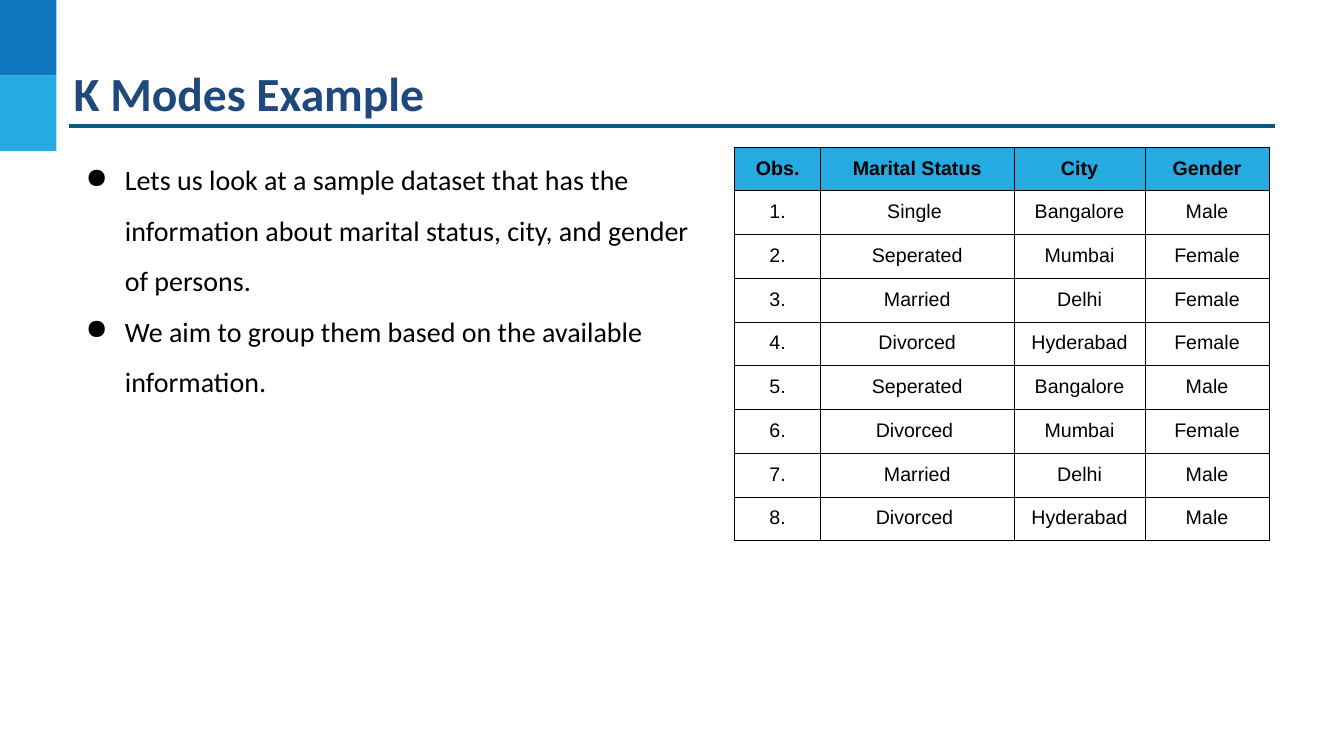
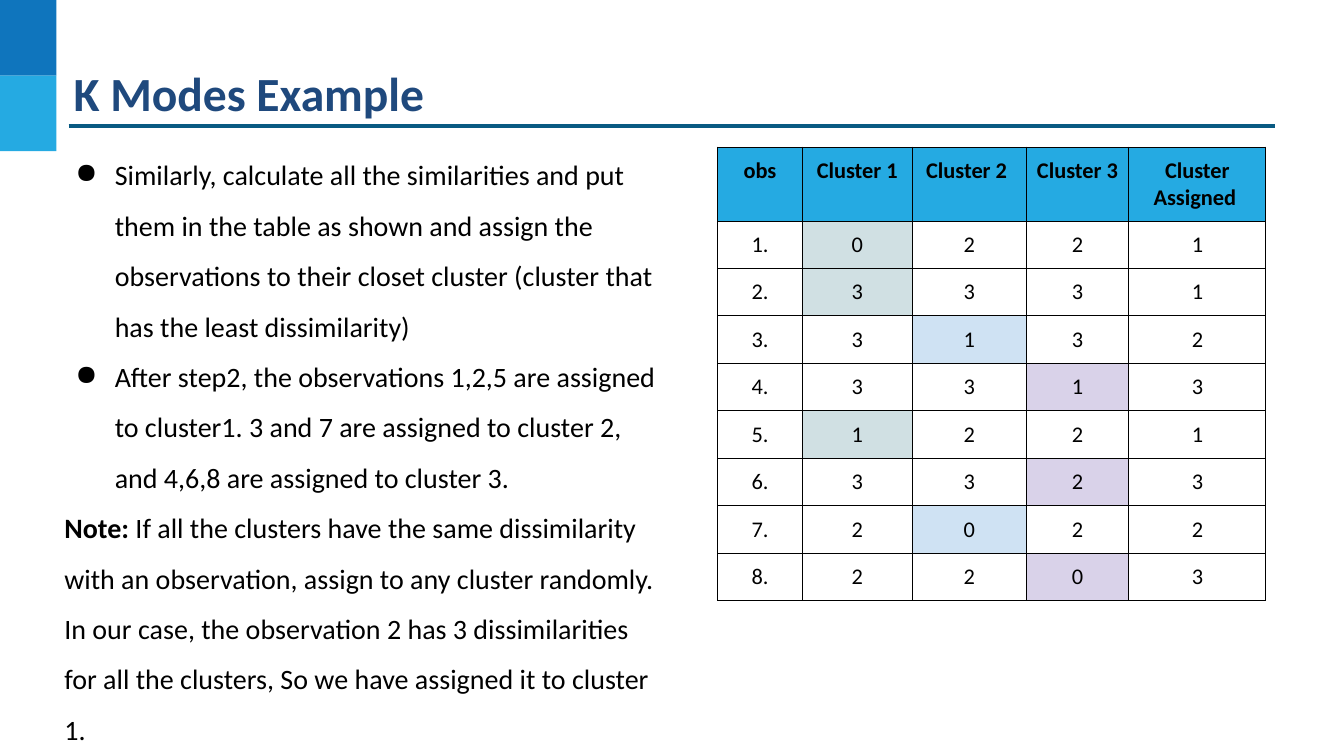
"""Build two slides that work through a K Modes clustering example."""
from dataclasses import dataclass

import lxml.etree
import pptx
import pptx.dml.color
import pptx.enum.shapes
import pptx.enum.text
import pptx.oxml.ns
import pptx.presentation
import pptx.slide
import pptx.table
import pptx.text.text
import pptx.util

COLS, ROWS = 160, 90
UNIT = pptx.util.Inches(1) // 12
INK = {
    "deep": "0F75BD", "sky": "25AAE2", "rule": "095A82", "title": "1F497D",
    "text": "000000", "1": "D0E0E3", "2": "CFE2F3", "3": "D9D2E9",
}


@dataclass(frozen=True)
class Box:
    left: float
    top: float
    width: float
    height: float

    def place(self) -> tuple[int, ...]:
        return tuple(grid(n) for n in (self.left, self.top, self.width, self.height))


@dataclass(frozen=True)
class Piece:
    text: str
    bold: bool = False


@dataclass(frozen=True)
class Para:
    runs: tuple[Piece, ...]
    dot: bool = False


@dataclass(frozen=True)
class Chart:
    left: float
    widths: tuple[float, ...]
    head: float
    row: float
    font: str
    size: int
    cells: tuple[tuple[str, ...], ...]
    shade: bool = False


@dataclass(frozen=True)
class Page:
    title: str
    body: Box
    paras: tuple[Para, ...]
    chart: Chart


BANDS = (("deep", Box(0, 0, 6.72, 9)), ("sky", Box(0, 9, 6.72, 9)))
TITLE = Box(8.52, 7.32, 147.48, 9.96)
RULE = Box(8.16, 15, 143.64, 0)
TOP = 17.52

PAGES = (
    Page(
        "K Modes Example",
        Box(7.68, 16.2, 76.68, 30.72),
        (
            Para((Piece("Lets us look at a sample dataset that has the information "
                        "about marital status, city, and gender of persons."),), True),
            Para((Piece("We aim to group them based on the available information."),), True),
        ),
        Chart(87.48, (10.2, 23.04, 15.6, 14.76), 5.2, 5.2, "Arial", 14, (
            ("Obs.", "Marital Status", "City", "Gender"),
            ("1.", "Single ", "Bangalore", "Male"),
            ("2.", "Seperated", "Mumbai", "Female"),
            ("3.", "Married", "Delhi", "Female"),
            ("4.", "Divorced", "Hyderabad", "Female"),
            ("5.", "Seperated", "Bangalore", "Male"),
            ("6.", "Divorced ", "Mumbai", "Female"),
            ("7.", "Married", "Delhi", "Male"),
            ("8.", "Divorced ", "Hyderabad", "Male"),
        )),
    ),
    Page(
        "K Modes Example",
        Box(6.48, 15.6, 74.16, 67.08),
        (
            Para((Piece("Similarly, calculate all the similarities and put them in the "
                        "table as shown and assign the observations to their closet "
                        "cluster (cluster that has the least dissimilarity)"),), True),
            Para((Piece("After step2, the observations 1,2,5 are assigned to cluster1. "
                        "3 and 7 are assigned to cluster 2, and 4,6,8 are assigned to "
                        "cluster 3."),), True),
            Para((Piece("Note:", True),
                  Piece(" If all the clusters have the same dissimilarity with an "
                        "observation, assign to any cluster randomly. In our case, the "
                        "observation 2 has 3 dissimilarities for all the clusters, So we "
                        "have assigned it to cluster 1."))),
        ),
        Chart(85.44, (10.08, 13.08, 13.56, 12.24, 16.32), 8.8, 5.65, "Calibri", 16, (
            ("obs", "Cluster 1", "Cluster 2 ", "Cluster 3", "Cluster Assigned "),
            ("1.", "0", "2", "2", "1"),
            ("2.", "3", "3", "3", "1"),
            ("3.", "3", "1", "3", "2"),
            ("4.", "3", "3", "1", "3"),
            ("5.", "1", "2", "2", "1"),
            ("6.", "3", "3", "2", "3"),
            ("7.", "2", "0", "2", "2"),
            ("8.", "2", "2", "0", "3"),
        ), True),
    ),
)


def grid(count: float) -> int:
    return round(count * UNIT)


def hue(name: str) -> pptx.dml.color.RGBColor:
    return pptx.dml.color.RGBColor.from_string(INK[name])


def node(host, tag: str, **attrs: str):
    return lxml.etree.SubElement(host, pptx.oxml.ns.qn(tag), attrs)


def write(para: pptx.text.text._Paragraph, piece: Piece, font: str, size: int,
          ink: str = "text") -> None:
    run = para.add_run()
    run.text = piece.text
    run.font.name, run.font.size = font, pptx.util.Pt(size)
    run.font.bold = piece.bold
    run.font.color.rgb = hue(ink)


def inset(frame: pptx.text.text.TextFrame, inches: float) -> None:
    gap = pptx.util.Inches(inches)
    frame.margin_left = frame.margin_right = gap
    frame.margin_top = frame.margin_bottom = gap
    frame.vertical_anchor = pptx.enum.text.MSO_ANCHOR.TOP
    frame.word_wrap = True


def draw_frame(slide: pptx.slide.Slide, title: str) -> None:
    for name, box in BANDS:
        band = slide.shapes.add_shape(pptx.enum.shapes.MSO_SHAPE.RECTANGLE, *box.place())
        band.shadow.inherit = False
        band.fill.solid()
        band.fill.fore_color.rgb = hue(name)
        band.line.fill.background()
    left, top, width, drop = RULE.place()
    rule = slide.shapes.add_connector(
        pptx.enum.shapes.MSO_CONNECTOR.STRAIGHT, left, top, left + width, top + drop)
    rule.line.color.rgb = hue("rule")
    rule.line.width = pptx.util.Pt(2.25)
    node(rule.element.spPr, "a:effectLst")
    head = slide.shapes.title
    head.left, head.top, head.width, head.height = TITLE.place()
    inset(head.text_frame, 0.02)
    head.text_frame.auto_size = pptx.enum.text.MSO_AUTO_SIZE.NONE
    para = head.text_frame.paragraphs[0]
    para.alignment = pptx.enum.text.PP_ALIGN.LEFT
    write(para, Piece(title, True), "Calibri", 34, "title")


def draw_body(slide: pptx.slide.Slide, box: Box, paras: tuple[Para, ...]) -> None:
    frame = slide.shapes.add_textbox(*box.place()).text_frame
    inset(frame, 0.1)
    frame.auto_size = pptx.enum.text.MSO_AUTO_SIZE.SHAPE_TO_FIT_TEXT
    for spot, item in enumerate(paras):
        para = frame.add_paragraph() if spot else frame.paragraphs[0]
        para.line_spacing = 1.5
        if item.dot:
            props = para._p.get_or_add_pPr()
            props.set("marL", str(pptx.util.Inches(0.5)))
            props.set("indent", str(-pptx.util.Inches(0.39)))
            node(node(props, "a:buClr"), "a:srgbClr", val=INK["text"])
            node(props, "a:buChar", char="●")
        for piece in item.runs:
            write(para, piece, "Calibri", 20)


def edge(cell: pptx.table._Cell) -> None:
    props = cell._tc.get_or_add_tcPr()
    for side in "LRTB":
        line = node(props, f"a:ln{side}", w=str(pptx.util.Pt(0.75)))
        node(node(line, "a:solidFill"), "a:srgbClr", val=INK["text"])


def draw_cell(cell: pptx.table._Cell, piece: Piece, chart: Chart, ink: str | None) -> None:
    gap = pptx.util.Inches(0.1)
    cell.margin_left = cell.margin_right = gap
    cell.margin_top = cell.margin_bottom = gap
    edge(cell)
    if ink:
        cell.fill.solid()
        cell.fill.fore_color.rgb = hue(ink)
    else:
        cell.fill.background()
    para = cell.text_frame.paragraphs[0]
    para.alignment = pptx.enum.text.PP_ALIGN.CENTER
    write(para, piece, chart.font, chart.size)


def draw_chart(slide: pptx.slide.Slide, chart: Chart) -> None:
    count = len(chart.cells)
    box = Box(chart.left, TOP, sum(chart.widths), chart.head + chart.row * (count - 1))
    table = slide.shapes.add_table(count, len(chart.widths), *box.place()).table
    table.horz_banding = False
    for col, width in zip(table.columns, chart.widths):
        col.width = grid(width)
    for down, texts in enumerate(chart.cells):
        first = down == 0
        table.rows[down].height = grid(chart.head if first else chart.row)
        for along, text in enumerate(texts):
            near = chart.shade and str(along) == texts[-1]
            ink = "sky" if first else texts[-1] if near else None
            draw_cell(table.cell(down, along), Piece(text, first), chart, ink)


def draw_page(deck: pptx.presentation.Presentation, page: Page) -> None:
    slide = deck.slides.add_slide(deck.slide_layouts.get_by_name("Title Only"))
    draw_frame(slide, page.title)
    draw_body(slide, page.body, page.paras)
    draw_chart(slide, page.chart)


def main() -> None:
    deck = pptx.Presentation()
    deck.slide_width, deck.slide_height = grid(COLS), grid(ROWS)
    for page in PAGES:
        draw_page(deck, page)
    deck.save("out.pptx")


if __name__ == "__main__":
    main()
